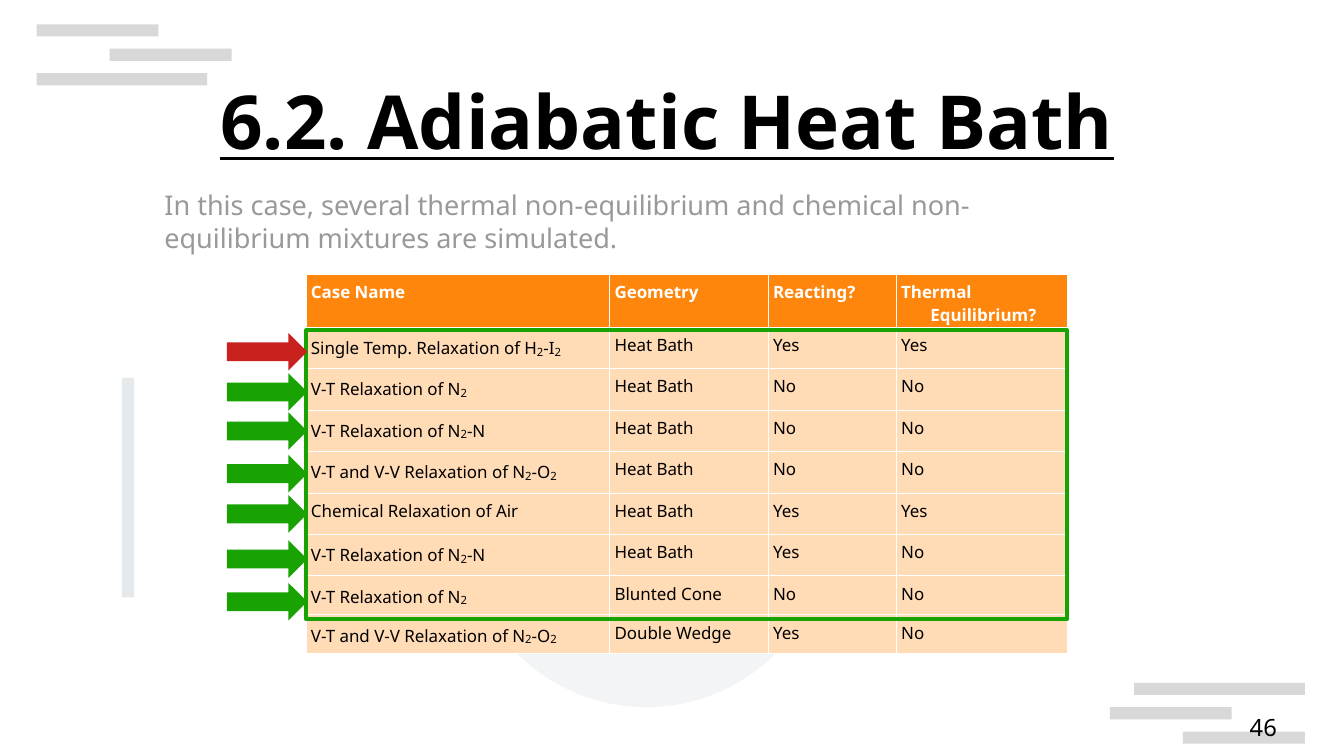
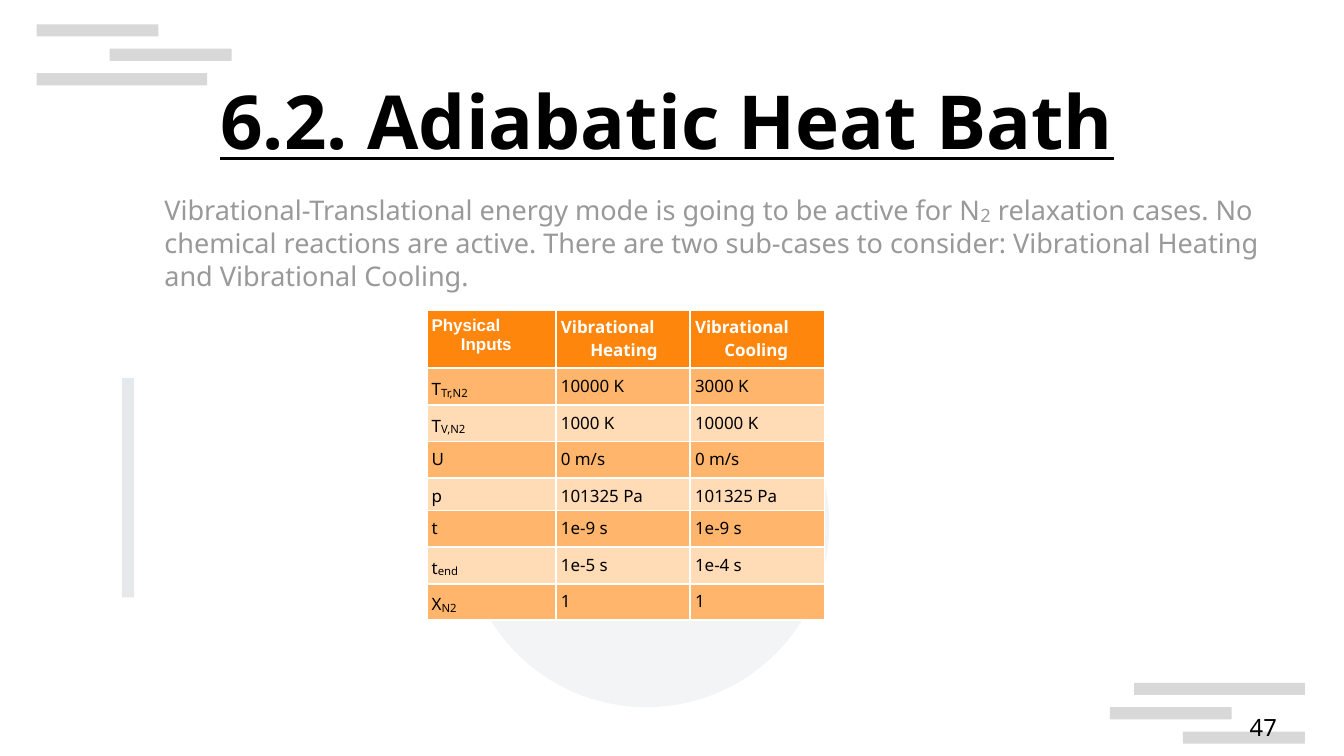
from lxml import etree
from pptx import Presentation
from pptx.dml.color import RGBColor
from pptx.enum import shapes, text
from pptx.oxml.ns import qn
from pptx.util import Inches, Pt

FONT = "Noto Sans"
BLACK = RGBColor(0x00, 0x00, 0x00)
WHITE = RGBColor(0xFF, 0xFF, 0xFF)
GREY = RGBColor(0x99, 0x99, 0x99)
STRIPE = RGBColor(0xCC, 0xCC, 0xCC)
DISC = RGBColor(0x8D, 0x99, 0xAE)
SIDE_BAR = RGBColor(0xCE, 0xD4, 0xDA)
ORANGE = RGBColor(0xFF, 0x86, 0x0D)
MID_ORANGE = RGBColor(0xFF, 0xB6, 0x6C)
PALE_ORANGE = RGBColor(0xFF, 0xDB, 0xB6)
GREEN = RGBColor(0x18, 0xA3, 0x03)
RED = RGBColor(0xC9, 0x21, 0x1E)

RECT = shapes.MSO_SHAPE.RECTANGLE
TITLE = "6.2. Adiabatic Heat Bath"

# left, top, width of the corner stripes
STRIPES = [(0.3, 0.2, 1), (0.9, 0.4, 1), (0.3, 0.6, 1.4),
           (9.3, 5.6, 1.4), (9.1, 5.8, 1), (9.7, 6, 1)]

# Subscripts stand between tildes
CASES = [
    ("Case Name", "Geometry", "Reacting?", "Thermal Equilibrium?"),
    ("Single Temp. Relaxation of H~2~-I~2~", "Heat Bath", "Yes", "Yes"),
    ("V-T Relaxation of N~2~", "Heat Bath", "No", "No"),
    ("V-T Relaxation of N~2~-N", "Heat Bath", "No", "No"),
    ("V-T and V-V Relaxation of N~2~-O~2~", "Heat Bath", "No", "No"),
    ("Chemical Relaxation of Air", "Heat Bath", "Yes", "Yes"),
    ("V-T Relaxation of N~2~-N", "Heat Bath", "Yes", "No"),
    ("V-T Relaxation of N~2~", "Blunted Cone", "No", "No"),
    ("V-T and V-V Relaxation of N~2~-O~2~", "Double Wedge", "Yes", "No"),
]
INPUTS = [
    ("Physical Inputs", "Vibrational Heating", "Vibrational Cooling"),
    ("T~Tr,N2~", "10000 K", "3000 K"),
    ("T~V,N2~", "1000 K", "10000 K"),
    ("U", "0 m/s", "0 m/s"),
    ("p", "101325 Pa", "101325 Pa"),
    ("t", "1e-9 s", "1e-9 s"),
    ("t~end~", "1e-5 s", "1e-4 s"),
    ("X~N2~", "1", "1"),
]


def place(sp, box):
    sp.left, sp.top, sp.width, sp.height = (Inches(v) for v in box)


def add_filled(slide, kind, box, color, opacity=100):
    sp = slide.shapes.add_shape(kind, *(Inches(v) for v in box))
    sp.shadow.inherit = False
    sp.line.fill.background()
    sp.fill.solid()
    sp.fill.fore_color.rgb = color
    if opacity < 100:
        clr = sp.element.spPr.find(qn("a:solidFill")).find(qn("a:srgbClr"))
        etree.SubElement(clr, qn("a:alpha"), val=str(opacity * 1000))
    return sp


def write(p, marked, size, color, bold=False):
    """Fill a paragraph, lowering the parts between tildes."""
    for i, part in enumerate(marked.split("~")):
        if not part:
            continue
        r = p.add_run()
        r.text = part
        r.font.name, r.font.size = FONT, Pt(size)
        r.font.bold, r.font.color.rgb = bold, color
        if i % 2:
            r.font.size = Pt(round(size * 1.16, 1))
            r._r.get_or_add_rPr().set("baseline", "-8000")


def add_label(slide, box, marked, size, color):
    tf = slide.shapes.add_textbox(*(Inches(v) for v in box)).text_frame
    tf.word_wrap = True
    write(tf.paragraphs[0], marked, size, color)
    return tf


def format_cell(cell, marked, fill, header, border):
    cell.margin_left = cell.margin_right = Inches(0.04)
    cell.margin_top = cell.margin_bottom = Inches(0.05)
    tc_pr = cell._tc.get_or_add_tcPr()
    for side in ("lnL", "lnR", "lnT", "lnB"):
        ln = etree.SubElement(tc_pr, qn("a:" + side), w=str(Pt(border)))
        solid = etree.SubElement(ln, qn("a:solidFill"))
        etree.SubElement(solid, qn("a:srgbClr"), val=str(WHITE))
    cell.fill.solid()
    cell.fill.fore_color.rgb = fill
    p = cell.text_frame.paragraphs[0]
    p_pr = p._p.get_or_add_pPr()
    p_pr.set("marL", str(Inches(0.24)))
    p_pr.set("indent", str(Inches(-0.24)))
    write(p, marked, 10, WHITE if header else BLACK, header)


def add_data_table(slide, left, top, rows, widths, heights, bands, border):
    box = (left, top, sum(widths), sum(heights))
    frame = slide.shapes.add_table(len(rows), len(widths), *(Inches(v) for v in box))
    tbl = frame.table
    tbl.first_row = tbl.horz_banding = False
    for col, width in zip(tbl.columns, widths):
        col.width = Inches(width)
    for i, (row, height) in enumerate(zip(rows, heights)):
        tbl.rows[i].height = Inches(height)
        fill = bands[(i - 1) % len(bands)] if i else ORANGE
        for j, marked in enumerate(row):
            format_cell(tbl.cell(i, j), marked, fill, i == 0, border)
    return tbl


def decorate_layout(layout, slide):
    """Draw the shared shapes and move them behind the layout's title."""
    parts = [add_filled(slide, RECT, (x, y, w, 0.1), STRIPE, 75) for x, y, w in STRIPES]
    parts.append(add_filled(slide, shapes.MSO_SHAPE.OVAL, (3.8, 2.8, 3, 3), DISC, 10))
    parts.append(add_filled(slide, RECT, (1, 3.1, 0.1, 1.8), SIDE_BAR, 50))
    for sp in parts:
        layout.shapes.element.append(sp.element)


def prepare_layout(layout):
    for ph in list(layout.placeholders):
        if ph.placeholder_format.type == shapes.PP_PLACEHOLDER.TITLE:
            place(ph, (0.51, 0.51, 9.92, 1.03))
        else:
            ph.element.getparent().remove(ph.element)


def fill_frame(slide, number, intro, intro_box):
    """Title, introduction and slide number."""
    tf = slide.shapes.title.text_frame
    tf.text = TITLE
    tf.auto_size = text.MSO_AUTO_SIZE.NONE
    tf.vertical_anchor = text.MSO_ANCHOR.MIDDLE
    tf.margin_left = tf.margin_right = tf.margin_top = tf.margin_bottom = 0
    p = tf.paragraphs[0]
    p.alignment, p.line_spacing = text.PP_ALIGN.CENTER, 0.9
    f = p.runs[0].font
    f.name, f.size, f.color.rgb = FONT, Pt(44), BLACK
    f.bold = f.underline = True

    add_label(slide, intro_box, intro, 16, GREY)

    tf = add_label(slide, (7.9, 5.65, 2.57, 0.43), str(number), 14, BLACK)
    tf.vertical_anchor = text.MSO_ANCHOR.BOTTOM
    tf.margin_left = tf.margin_right = tf.margin_top = tf.margin_bottom = 0
    tf.paragraphs[0].alignment = text.PP_ALIGN.RIGHT


def fill_cases(slide):
    left, top = 2.51, 2.25
    add_data_table(slide, left, top, CASES, [2.49, 1.3, 1.05, 1.4],
                   [0.42] + [0.34] * 6 + [0.32] * 2, [PALE_ORANGE], 0.57)

    # Frame around the first seven cases
    sp = add_filled(slide, RECT, (left, top + 0.46, 6.24, 2.37), WHITE)
    sp.fill.background()
    sp.line.color.rgb, sp.line.width = GREEN, Pt(2.25)

    # Status arrows, one for each framed case
    for i, y in enumerate((0.48, 0.81, 1.13, 1.48, 1.81, 2.18, 2.53)):
        add_filled(slide, shapes.MSO_SHAPE.RIGHT_ARROW,
                   (left - 0.65, top + y, 0.66, 0.31), GREEN if i else RED)


def fill_inputs(slide):
    tbl = add_data_table(slide, 3.5, 2.54, INPUTS, [1.06, 1.1, 1.1],
                         [0.48, 0.3, 0.3, 0.3, 0.26, 0.3, 0.3, 0.3],
                         [MID_ORANGE, PALE_ORANGE], 1.13)
    tbl.cell(0, 0).text_frame.paragraphs[0].runs[0].font.name = "Arial"


def main():
    prs = Presentation()
    prs.slide_width, prs.slide_height = Inches(11.02), Inches(6.2)
    layout = prs.slide_layouts[5]
    prepare_layout(layout)

    s = prs.slides.add_slide(layout)
    decorate_layout(layout, s)
    fill_frame(s, 46, "In this case, several thermal non-equilibrium and chemical "
               "non-equilibrium mixtures are simulated.", (1.25, 1.5, 8, 0.7))
    fill_cases(s)

    s = prs.slides.add_slide(layout)
    fill_frame(s, 47, "Vibrational-Translational energy mode is going to be active for "
               "N~2~ relaxation cases. No chemical reactions are active. There are two "
               "sub-cases to consider: Vibrational Heating and Vibrational Cooling.",
               (1.25, 1.5, 9.5, 1))
    fill_inputs(s)
    prs.save("out.pptx")


if __name__ == "__main__":
    main()
